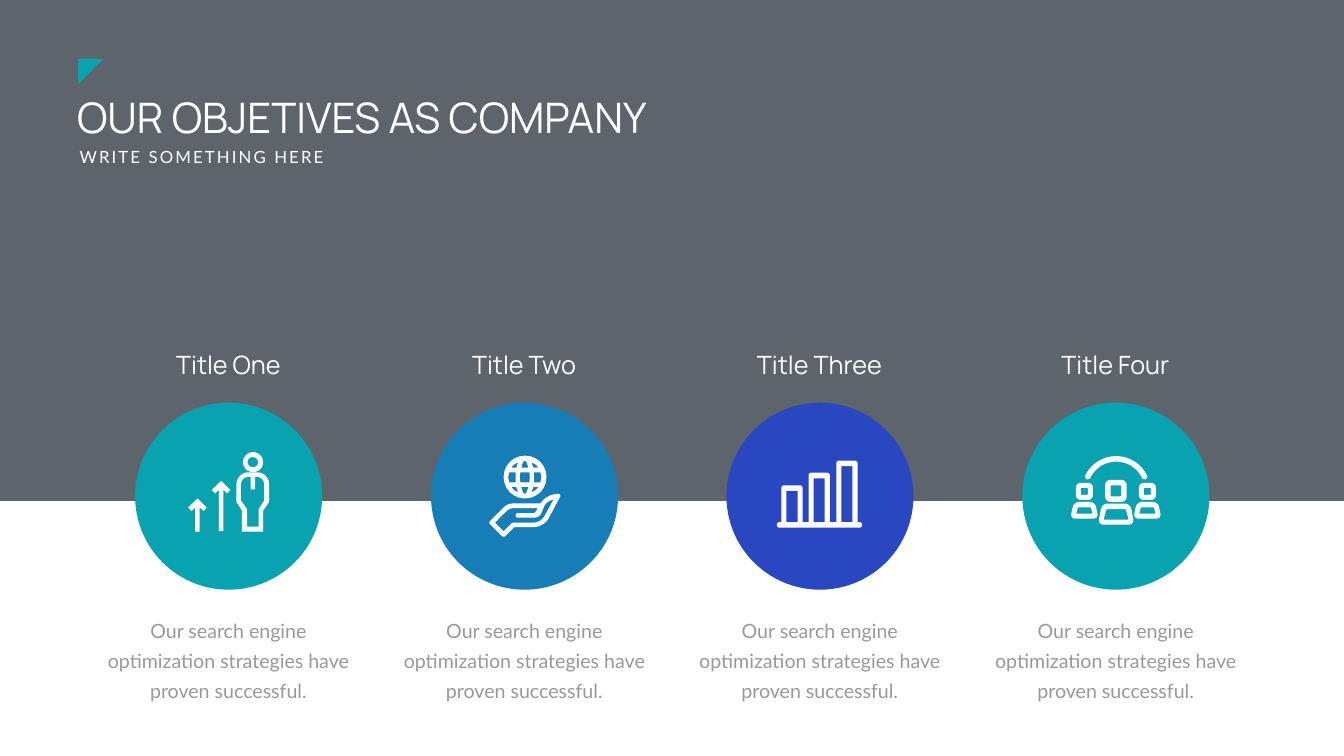
from math import cos, hypot, radians, sin

from lxml.etree import SubElement
from pptx import Presentation
from pptx.dml.color import RGBColor
from pptx.enum.shapes import MSO_SHAPE
from pptx.enum.text import MSO_AUTO_SIZE, PP_ALIGN
from pptx.oxml.ns import qn
from pptx.util import Pt

PX = 9144  # 100 px to the inch
WIDTH, HEIGHT = 2666, 1500
WHITE, SLATE, GREY = "FFFFFF", "363E48", "999999"
TEAL, BLUE, INDIGO = "09A2B1", "167DB7", "2847C0"
BODY = "Our search engine optimization strategies have proven successful."


def emu(*lengths):
    return [round(length * PX) for length in lengths]


def paint(shape, color):
    shape.shadow.inherit = False
    shape.fill.solid()
    shape.fill.fore_color.rgb = RGBColor.from_string(color)
    shape.line.fill.background()
    return shape


def add_preset(page, kind, box, color):
    return paint(page.shapes.add_shape(kind, *emu(*box)), color)


def add_text(page, box, text, size, font, color, align=PP_ALIGN.LEFT,
             wrap=True, leading=None, tracking=None):
    frame = page.shapes.add_textbox(*emu(*box)).text_frame
    frame.word_wrap = wrap
    frame.auto_size = MSO_AUTO_SIZE.SHAPE_TO_FIT_TEXT
    para = frame.paragraphs[0]
    para.alignment = align
    if leading:
        para.line_spacing = Pt(leading)
    span = para.add_run()
    span.text = text
    span.font.size = Pt(size)
    span.font.name = font
    span.font.color.rgb = RGBColor.from_string(color)
    if tracking:
        span._r.get_or_add_rPr().set("spc", str(tracking * 100))


# Icon outlines: a contour is a list of points, a corner is (x, y, radius)
def rounded(corners, steps=6):
    points = []
    for index, (x, y, radius) in enumerate(corners):
        if not radius:
            points.append((x, y))
            continue
        ends = []
        for near in (corners[index - 1], corners[(index + 1) % len(corners)]):
            dx, dy = near[0] - x, near[1] - y
            reach = radius / hypot(dx, dy)
            ends.append((dx * reach, dy * reach))
        for step in range(steps + 1):
            t = step / steps
            before = (1 - t) ** 3 + 1.35 * t * (1 - t) ** 2
            after = t ** 3 + 1.35 * t ** 2 * (1 - t)
            points.append((x + before * ends[0][0] + after * ends[1][0],
                           y + before * ends[0][1] + after * ends[1][1]))
    return points


def sharp(*points):
    return list(points)


def block(left, top, width, height, radius=0):
    right, bottom = left + width, top + height
    return rounded([(left, top, radius), (right, top, radius),
                    (right, bottom, radius), (left, bottom, radius)])


def add_outline(page, origin, contours):
    left, top = origin
    builder = None
    for contour in contours:
        points = [tuple(emu(left + x, top + y)) for x, y in contour]
        if builder is None:
            builder = page.shapes.build_freeform(*points[0], scale=1.0)
        else:
            builder.move_to(*points[0])
        builder.add_line_segments(points[1:], close=True)
    paint(builder.convert_to_shape(), WHITE)


# Each icon returns its outlines, relative to the circle's box
def growth_icon():
    def arrow(x, top, bottom):
        return [sharp((x - 19, top + 18), (x - 12, top + 25), (x - 5, top + 18),
                      (x - 5, bottom), (x + 4, bottom), (x + 4, top + 18),
                      (x + 12, top + 25), (x + 18, top + 18), (x, top))]

    body = rounded([(201, 138, 24), (266, 138, 24), (266, 197, 0), (254, 214, 0),
                    (254, 256, 0), (212, 256, 0), (212, 214, 0), (201, 197, 0)])
    inside = rounded([(210, 147, 15), (229, 147, 0), (229, 172, 0), (238, 172, 0),
                      (238, 147, 0), (256, 147, 15), (256, 194, 0), (245, 211, 0),
                      (245, 246, 0), (222, 246, 0), (222, 211, 0), (210, 194, 0)])
    head = [block(214, 98, 40, 40, 20), block(223, 108, 21, 20, 10)]
    return [[body, inside], head, arrow(171, 155, 255), arrow(124, 190, 256)]


def globe_icon():
    hand = rounded([(259, 181, 7), (228, 181, 22), (217, 200, 0), (152, 200, 9),
                    (114, 238, 4), (144, 268, 5), (165, 247, 0), (224, 247, 20)])
    palm = rounded([(243, 192, 0), (228, 197, 10), (215, 228, 9), (168, 228, 4),
                    (168, 219, 4), (206, 219, 3), (212, 209, 0), (156, 209, 8),
                    (127, 238, 0), (144, 255, 0), (161, 238, 3), (218, 238, 14)])

    def cell(points, flip_x=1, flip_y=1):
        return [(186 + x * flip_x, 148 + y * flip_y) for x, y in points]

    corner = [(-13, -30), (-17, -19), (-27, -19), (-22, -25)]
    side = [(-31, -10), (-33, 0), (-31, 10), (-18, 10), (-18, -10)]
    cap = [(-7, -19), (-5, -26), (-3, -31), (0, -33), (3, -31), (5, -26), (7, -19)]
    middle = [(-9, -10), (9, -10), (10, 0), (9, 10), (-9, 10), (-10, 0)]
    globe = [block(144, 105, 85, 85, 42), cell(middle)]
    for flip in (1, -1):
        globe += [cell(side, flip), cell(cap, 1, flip),
                  cell(corner, flip, 1), cell(corner, flip, -1)]
    return [[hand, palm], globe]


def bars_icon():
    base = 237
    skyline, holes = [(100, 248, 5), (100, base, 5)], []
    for left, top in ((109, 164), (163, 139), (218, 115)):
        right = left + 42
        skyline += [(left, base, 0), (left, top, 5), (right, top, 5), (right, base, 0)]
        holes.append(block(left + 10, top + 11, 22, base - top - 11))
    skyline += [(269, base, 5), (269, 248, 5)]
    return [[rounded(skyline)] + holes]


def team_icon():
    def head(left, top, width, height, rim):
        return [block(left, top, width, height, rim),
                block(left + rim, top + rim, width - 2 * rim, height - 2 * rim, 2)]

    def trapezoid(center, top, bottom, half_top, half_bottom, radius):
        return rounded([(center - half_top, top, radius), (center + half_top, top, radius),
                        (center + half_bottom, bottom, radius),
                        (center - half_bottom, bottom, radius)])

    def arc(radius, angles):
        return [(186 + radius * cos(radians(angle)), 174 - radius * sin(radians(angle)))
                for angle in angles]

    outlines = [head(164, 153, 43, 44, 11),
                [trapezoid(186, 200, 242, 28, 36, 11), trapezoid(186, 211, 232, 19, 25, 2)]]
    for center in (123, 248):
        outlines += [head(center - 17, 159, 34, 34, 10),
                     [trapezoid(center, 197, 230, 21, 28, 10),
                      trapezoid(center, 208, 220, 13, 16, 0)]]
    sweep = range(24, 157, 6)
    outlines.append([arc(68, sweep) + arc(63, [160]) + arc(57, reversed(sweep)) + arc(63, [20])])
    return outlines


# Heading: corner mark, title and subtitle
def add_heading(page, left, top):
    add_text(page, (left, top + 59, 1552, 111), "OUR OBJETIVES AS COMPANY", 60, "Manrope", WHITE)
    add_text(page, (left + 5, top + 170, 514, 50), "WRITE SOMETHING HERE", 24, "Lato", WHITE,
             wrap=False, tracking=3)
    mark = add_preset(page, MSO_SHAPE.RIGHT_TRIANGLE, (left + 12, top, 50, 50), TEAL)
    mark.rotation = 90


# Objective: title, circle with icon, description
def add_objective(page, left, top, width, title, title_width, color, icon):
    add_text(page, (left + (width - title_width) // 2, top, title_width, 71), title, 36,
             "Manrope", WHITE, PP_ALIGN.CENTER, wrap=False)
    size = 371
    origin = (left + (width - size) // 2 + 1, top + 110)
    add_preset(page, MSO_SHAPE.OVAL, (*origin, size, size), color)
    for contours in icon():
        add_outline(page, origin, contours)
    add_text(page, (left, top + 521, width, 185), BODY, 28, "Lato", GREY,
             PP_ALIGN.CENTER, leading=43)


def main():
    deck = Presentation()
    deck.slide_width, deck.slide_height = emu(WIDTH, HEIGHT)
    page = deck.slides.add_slide(deck.slide_layouts[6])

    # Translucent band behind the upper part
    band = add_preset(page, MSO_SHAPE.RECTANGLE, (0, 0, WIDTH, 994), SLATE)
    tint = band._element.spPr.find(qn("a:solidFill"))[0]
    SubElement(tint, qn("a:alpha"), val="80000")

    add_heading(page, 143, 117)

    # Four equal columns, centred on the page
    objectives = [("Title One", 242, TEAL, growth_icon), ("Title Two", 241, BLUE, globe_icon),
                  ("Title Three", 281, INDIGO, bars_icon), ("Title Four", 249, TEAL, team_icon)]
    margin, width = 184, 538
    pitch = (WIDTH - 2 * margin - width) / (len(objectives) - 1)
    for index, objective in enumerate(objectives):
        add_objective(page, margin + round(index * pitch), 689, width, *objective)

    deck.save("out.pptx")


if __name__ == "__main__":
    main()
